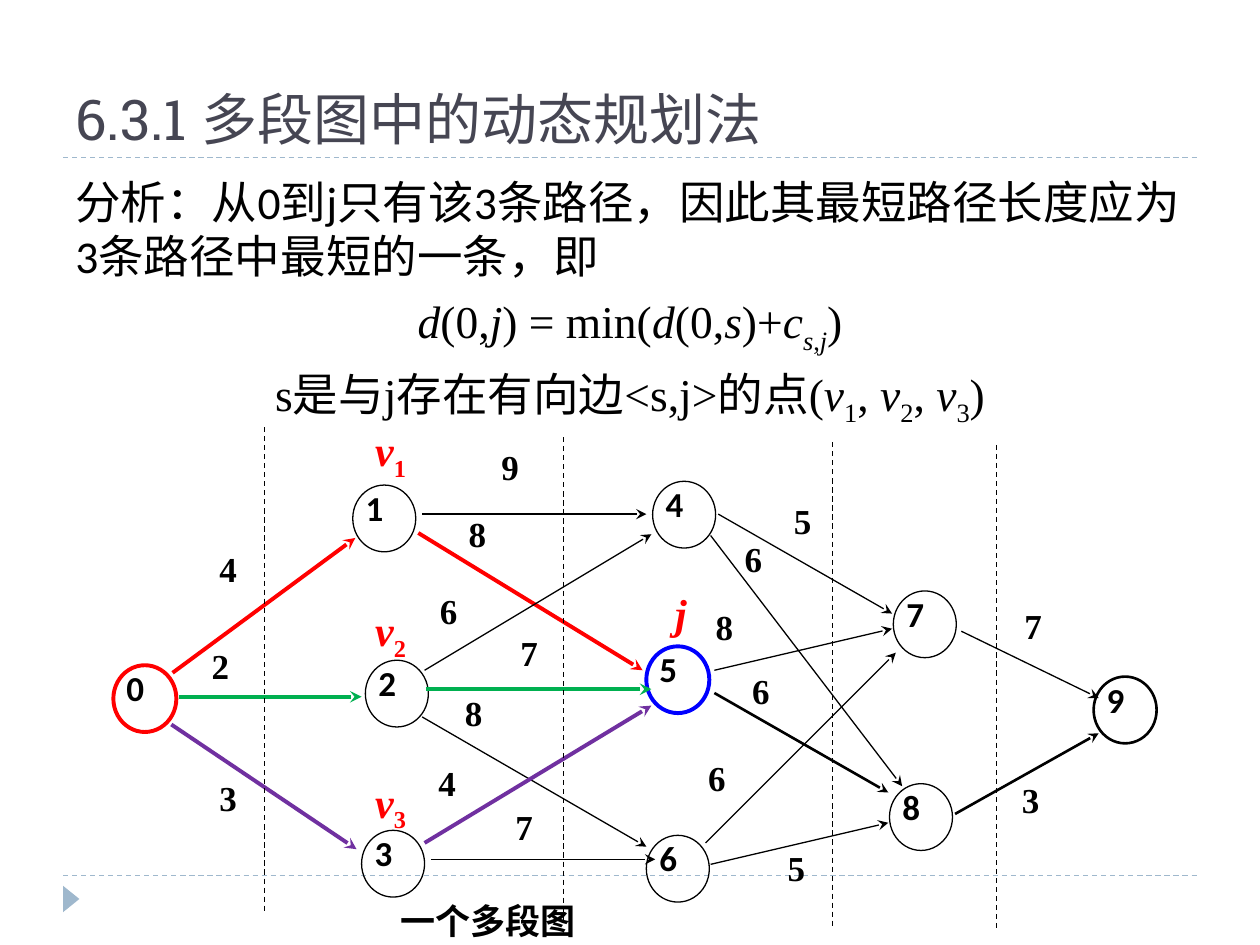
import pptx
import pptx.util
import pptx.dml.color
import pptx.enum.dml
import pptx.enum.shapes
import pptx.enum.text
import pptx.oxml
import pptx.oxml.ns
from dataclasses import dataclass

Inches = pptx.util.Inches
Pt = pptx.util.Pt
ALIGN = pptx.enum.text.PP_ALIGN
ANCHOR = pptx.enum.text.MSO_ANCHOR
SHAPE = pptx.enum.shapes.MSO_SHAPE


@dataclass(frozen=True)
class Theme:
    black: str = "000000"
    title: str = "464653"
    rule: str = "9FB8CD"
    red: str = "FF0000"
    green: str = "00B050"
    purple: str = "7030A0"
    blue: str = "0000FF"
    heading_font: str = "Roboto Slab"
    sans: str = "Calibri"
    serif: str = "Times New Roman"
    title_size: int = 32
    body_size: int = 26
    tag_size: int = 24
    label_size: int = 20
    thin: float = 0.75
    medium: float = 1.5
    thick: float = 2.25


T = Theme()

FORMULA = [("d", "i"), ("(0,", ""), ("j", "i"), (") = min(", ""), ("d", "i"),
           ("(0,", ""), ("s", "i"), (")+", ""), ("c", "i"), ("s", "is"),
           (",", "s"), ("j", "is"), (")", "")]
CONDITION = [("s是与j存在有向边<s,j>的点(", ""), ("v", "i"), ("1", "s"), (", ", ""),
             ("v", "i"), ("2", "s"), (", ", ""), ("v", "i"), ("3", "s"), (")", "")]

NODES = [
    (0.4, 2.28, T.red, T.thick), (2.3, 0.85, T.black, T.thin),
    (2.4, 2.24, T.black, T.thin), (2.37, 3.59, T.black, T.thin),
    (4.68, 0.82, T.black, T.thin), (4.63, 2.13, T.blue, T.thick),
    (4.63, 3.63, T.black, T.thin), (6.59, 1.69, T.black, T.thin),
    (6.56, 3.22, T.black, T.thin), (8.18, 2.37, T.black, T.medium),
]
EDGES = [
    ((0.87, 2.34), (2.32, 1.27), "4", (1.24, 1.41), T.red, T.thick),
    ((0.92, 2.53), (2.37, 2.53), "2", (1.18, 2.18), T.green, T.thick),
    ((0.86, 2.75), (2.33, 3.74), "3", (1.24, 3.23), T.purple, T.thick),
    ((2.85, 1.08), (4.63, 1.08), "9", (3.48, 0.6), T.black, T.thin),
    ((2.82, 1.23), (4.6, 2.32), "8", (3.22, 1.13), T.red, T.thick),
    ((2.87, 2.32), (4.67, 1.24), "6", (2.99, 1.74), T.black, T.thin),
    ((2.88, 2.47), (4.67, 2.47), "7", (3.63, 2.08), T.green, T.thick),
    ((2.85, 2.69), (4.63, 3.72), "8", (3.19, 2.55), T.black, T.thin),
    ((2.87, 3.69), (4.67, 2.6), "4", (2.98, 3.11), T.purple, T.thick),
    ((2.92, 3.82), (4.7, 3.82), "7", (3.59, 3.46), T.black, T.thin),
    ((5.2, 1.08), (6.58, 1.87), "5", (5.8, 1.03), T.black, T.thin),
    ((5.14, 1.25), (6.66, 3.24), "6", (5.41, 1.33), T.black, T.thin),
    ((5.17, 2.32), (6.58, 1.99), "8", (5.18, 1.87), T.black, T.thin),
    ((5.17, 2.5), (6.55, 3.29), "6", (5.47, 2.38), T.black, T.medium),
    ((5.1, 3.69), (6.61, 2.18), "6", (5.12, 3.07), T.black, T.thin),
    ((5.14, 3.86), (6.55, 3.53), "5", (5.75, 3.78), T.black, T.thin),
    ((7.13, 2.01), (8.22, 2.54), "7", (7.63, 1.86), T.black, T.thin),
    ((7.08, 3.46), (8.22, 2.82), "3", (7.61, 3.24), T.black, T.medium),
]
DIVIDERS = [(1.6, 0.39), (3.97, 0.47), (6.11, 0.51), (7.41, 0.53)]
TAGS = [
    (2.38, 0.32, [("v", "i"), ("1", "s")]),
    (2.38, 1.75, [("v", "i"), ("2", "s")]),
    (2.38, 3.11, [("v", "i"), ("3", "s")]),
    (4.76, 1.61, [("j", "i")]),
]


def rgb(color):
    return pptx.dml.color.RGBColor.from_string(color)


def write(p, runs, font, size, color=T.black, bold=False):
    for text, style in runs:
        r = p.add_run()
        r.text = text
        r.font.name = font
        r.font.size = Pt(size)
        r.font.color.rgb = rgb(color)
        r.font.bold = bold
        r.font.italic = "i" in style
        if "s" in style:
            r.font._element.set("baseline", "-25000")


def textbox(s, x, y, w, h, wrap=True):
    tf = s.shapes.add_textbox(Inches(x), Inches(y), Inches(w), Inches(h)).text_frame
    tf.word_wrap = wrap
    return tf


def label(tf, text, font, left=0):
    tf.margin_left = Inches(left)
    tf.margin_top = tf.margin_right = tf.margin_bottom = 0
    tf.vertical_anchor = ANCHOR.TOP
    p = tf.paragraphs[0]
    p.alignment = ALIGN.JUSTIFY
    p.line_spacing = 0.8
    write(p, [(text, "")], font, T.label_size, bold=True)


def line(s, start, end, color, width, dashed=False, arrow=False):
    cn = s.shapes.add_connector(pptx.enum.shapes.MSO_CONNECTOR.STRAIGHT,
                                *[Inches(v) for v in (*start, *end)])
    cn.line.color.rgb = rgb(color)
    cn.line.width = Pt(width)
    if dashed:
        cn.line.dash_style = pptx.enum.dml.MSO_LINE.DASH
    if arrow:
        tail = pptx.oxml.parse_xml(
            f'<a:tailEnd {pptx.oxml.ns.nsdecls("a")} type="stealth"/>')
        cn.line._get_or_add_ln().append(tail)
    cn._element.spPr.append(
        pptx.oxml.parse_xml(f'<a:effectLst {pptx.oxml.ns.nsdecls("a")}/>'))


def frame(s, x, y, w, h):
    for rule_y in (y, y + h):
        line(s, (x, rule_y), (x + w, rule_y), T.rule, T.thin, dashed=True)
    sp = s.shapes.add_shape(SHAPE.ISOSCELES_TRIANGLE, Inches(x - 0.04),
                            Inches(y + h + 0.12), Inches(0.21), Inches(0.13))
    sp.rotation = 90
    sp.shadow.inherit = False
    sp.fill.solid()
    sp.fill.fore_color.rgb = rgb(T.rule)
    sp.line.fill.background()


def title(s, x, y, w, h):
    tf = textbox(s, x, y, w, h)
    tf.vertical_anchor = ANCHOR.BOTTOM
    write(tf.paragraphs[0], [("6.3.1 多段图中的动态规划法", "")],
          T.heading_font, T.title_size, T.title)


def analysis(s, x, y, w, h):
    tf = textbox(s, x, y, w, h)
    intro = [("分析：从0到j只有该3条路径，因此其最短路径长度应为3条路径中最短的一条，即", "")]
    rows = [(intro, T.sans, ALIGN.LEFT), (FORMULA, T.serif, ALIGN.CENTER),
            (CONDITION, T.serif, ALIGN.CENTER)]
    for i, (runs, font, align) in enumerate(rows):
        p = tf.add_paragraph() if i else tf.paragraphs[0]
        p.alignment = align
        p.space_before = Pt(6)
        write(p, runs, font, T.body_size)


def graph(s, x, y):
    def at(point):
        return x + point[0], y + point[1]

    for number, (left, top, color, width) in enumerate(NODES):
        sp = s.shapes.add_shape(SHAPE.OVAL, Inches(x + left), Inches(y + top),
                                Inches(0.5), Inches(0.53))
        sp.shadow.inherit = False
        sp.fill.background()
        sp.line.color.rgb = rgb(color)
        sp.line.width = Pt(width)
        label(sp.text_frame, str(number), T.sans, left=0.03)
    for start, end, weight, spot, color, width in EDGES:
        line(s, at(start), at(end), color, width, arrow=True)
        label(textbox(s, *at(spot), 0.28, 0.35), weight, T.serif)
    for left, top in DIVIDERS:
        line(s, at((left, top)), at((left, top + 3.84)), T.black, T.thin, dashed=True)
    label(textbox(s, x + 2.68, y + 4.2, 3.8, 0.3), "一个多段图", T.serif)
    for left, top, runs in TAGS:
        tf = textbox(s, x + left, y + top, 0.23 * len(runs) + 0.04, 0.5, wrap=False)
        write(tf.paragraphs[0], runs, T.serif, T.tag_size, T.red, bold=True)


def main():
    prs = pptx.Presentation()
    prs.slide_width = Inches(10)
    prs.slide_height = Inches(7.5)
    s = prs.slides.add_slide(prs.slide_layouts[6])
    frame(s, 0.5, 1.25, 9, 5.7)
    title(s, 0.5, 0.17, 9, 1.08)
    analysis(s, 0.5, 1.33, 9, 5.4)
    graph(s, 0.5, 3)
    prs.save("out.pptx")


if __name__ == "__main__":
    main()
